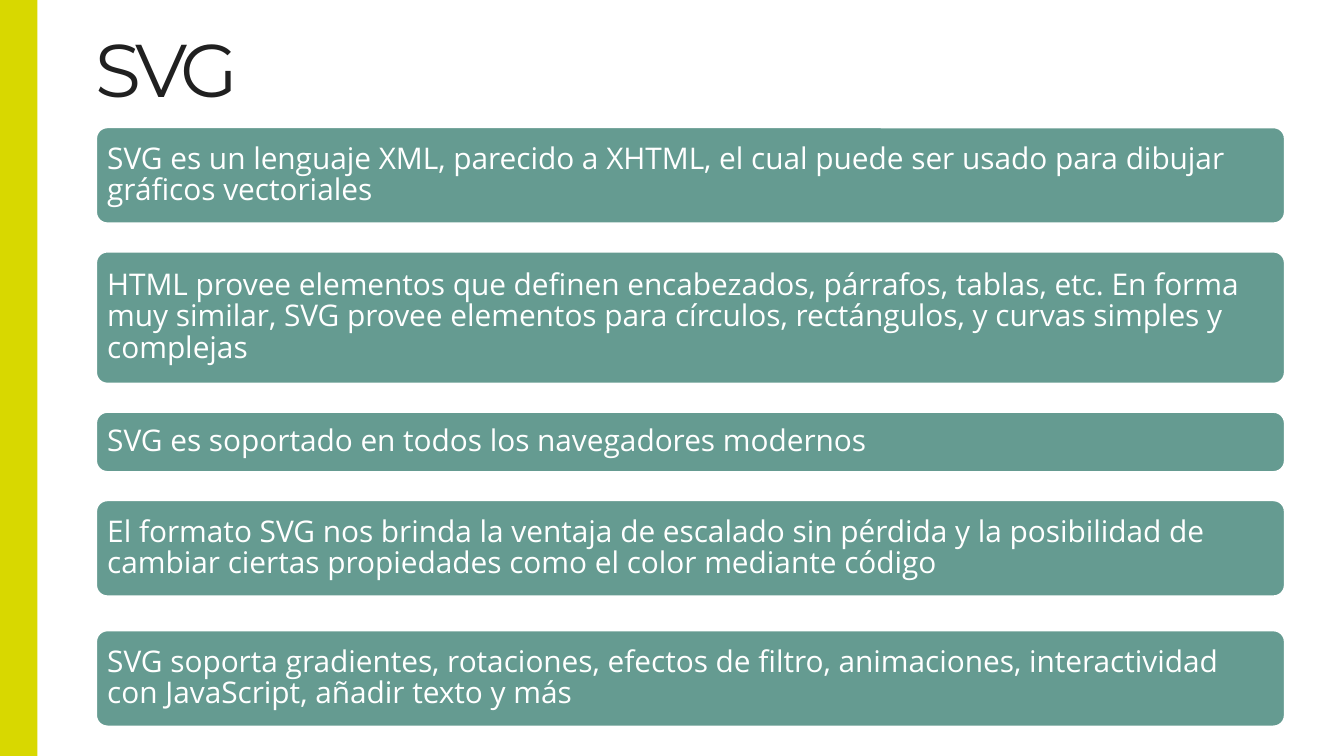
"""Build a slide that lists what SVG offers, one card for each point."""
from dataclasses import dataclass
from typing import Optional

from pptx import Presentation
from pptx.dml.color import RGBColor
from pptx.enum.shapes import MSO_SHAPE
from pptx.enum.text import MSO_ANCHOR, MSO_AUTO_SIZE, PP_ALIGN
from pptx.shapes.autoshape import Shape
from pptx.slide import Slide
from pptx.util import Cm, Pt

RECT = MSO_SHAPE.RECTANGLE
ROUND = MSO_SHAPE.ROUNDED_RECTANGLE
LEFT = PP_ALIGN.LEFT
MIDDLE = MSO_ANCHOR.MIDDLE
BOTTOM = MSO_ANCHOR.BOTTOM
NO_FIT = MSO_AUTO_SIZE.NONE


@dataclass(frozen=True)
class Theme:
    ink: str = "202020"
    lime: str = "D8D800"
    teal: str = "659B91"
    white: str = "FFFFFF"
    head_font: str = "Montserrat"
    text_font: str = "Open Sans"
    head_size: float = 40
    text_size: float = 16
    edge: float = 2


@dataclass(frozen=True)
class Card:
    text: str
    height: float
    gap: float = 0.5


THEME = Theme()
WIDTH, HEIGHT = 25.4, 14.29
MARGIN = 1.8
CARD_WIDTH = 22.5
FIRST_TOP = 2.39
RADIUS = 0.23
CARDS = [
    Card("SVG es un lenguaje XML, parecido a XHTML, el cual puede ser usado "
         "para dibujar gráficos vectoriales", 1.85, gap=0),
    Card("HTML provee elementos que definen encabezados, párrafos, tablas, "
         "etc. En forma muy similar, SVG provee elementos para círculos, "
         "rectángulos, y curvas simples y complejas", 2.53),
    Card("SVG es soportado en todos los navegadores modernos", 1.17),
    Card("El formato SVG nos brinda la ventaja de escalado sin pérdida y la "
         "posibilidad de cambiar ciertas propiedades como el color mediante "
         "código", 1.85),
    Card("SVG soporta gradientes, rotaciones, efectos de filtro, animaciones, "
         "interactividad con JavaScript, añadir texto y más", 1.85, gap=0.61),
]


def write(shape: Shape, text: str, *, font: str, size: float, color: str,
          anchor: MSO_ANCHOR, insets: tuple[float, float, float, float],
          pitch: float = 1.0, track: float = 0) -> None:
    """Put one formatted, left-aligned paragraph in a shape."""
    frame = shape.text_frame
    frame.word_wrap = True
    frame.auto_size = NO_FIT
    frame.vertical_anchor = anchor
    (frame.margin_left, frame.margin_top,
     frame.margin_right, frame.margin_bottom) = map(Cm, insets)
    para = frame.paragraphs[0]
    para.alignment = LEFT
    para.line_spacing = pitch
    run = para.add_run()
    run.text = text
    run.font.name = font
    run.font.size = Pt(size)
    run.font.color.rgb = RGBColor.from_string(color)
    if track:
        run.font._element.set("spc", str(int(track * 100)))


def add_block(slide: Slide, kind: MSO_SHAPE, left: float, top: float,
              width: float, height: float, fill: str,
              line: Optional[str] = None) -> Shape:
    """Add a flat filled shape, with an outline if a colour is given."""
    shape = slide.shapes.add_shape(
        kind, Cm(left), Cm(top), Cm(width), Cm(height))
    shape.shadow.inherit = False
    shape.fill.solid()
    shape.fill.fore_color.rgb = RGBColor.from_string(fill)
    if line:
        shape.line.color.rgb = RGBColor.from_string(line)
        shape.line.width = Pt(THEME.edge)
    else:
        shape.line.fill.background()
    return shape


def add_title(slide: Slide, text: str) -> None:
    """Move the title placeholder to the top and fill it."""
    title = slide.shapes.title
    title.left, title.top = Cm(MARGIN), Cm(0)
    title.width, title.height = Cm(22.9), Cm(2.26)
    write(title, text, font=THEME.head_font, size=THEME.head_size,
          color=THEME.ink, anchor=BOTTOM, insets=(0, 0.13, 0.25, 0.13),
          track=-3)


def add_card(slide: Slide, card: Card, top: float) -> None:
    """Draw one rounded card with its text."""
    shape = add_block(slide, ROUND, MARGIN, top, CARD_WIDTH, card.height,
                      THEME.teal, THEME.white)
    shape.adjustments[0] = RADIUS / card.height
    write(shape, card.text, font=THEME.text_font, size=THEME.text_size,
          color=THEME.white, anchor=MIDDLE, insets=(0.16,) * 4, pitch=0.87)


def main() -> None:
    """Build and save the slide."""
    deck = Presentation()
    deck.slide_width, deck.slide_height = Cm(WIDTH), Cm(HEIGHT)
    slide = deck.slides.add_slide(deck.slide_layouts[5])
    add_title(slide, "SVG")
    add_block(slide, RECT, 0, 0, 0.71, HEIGHT, THEME.lime)
    top = FIRST_TOP
    for card in CARDS:
        top += card.gap
        add_card(slide, card, top)
        top += card.height
    deck.save("out.pptx")


if __name__ == "__main__":
    main()
